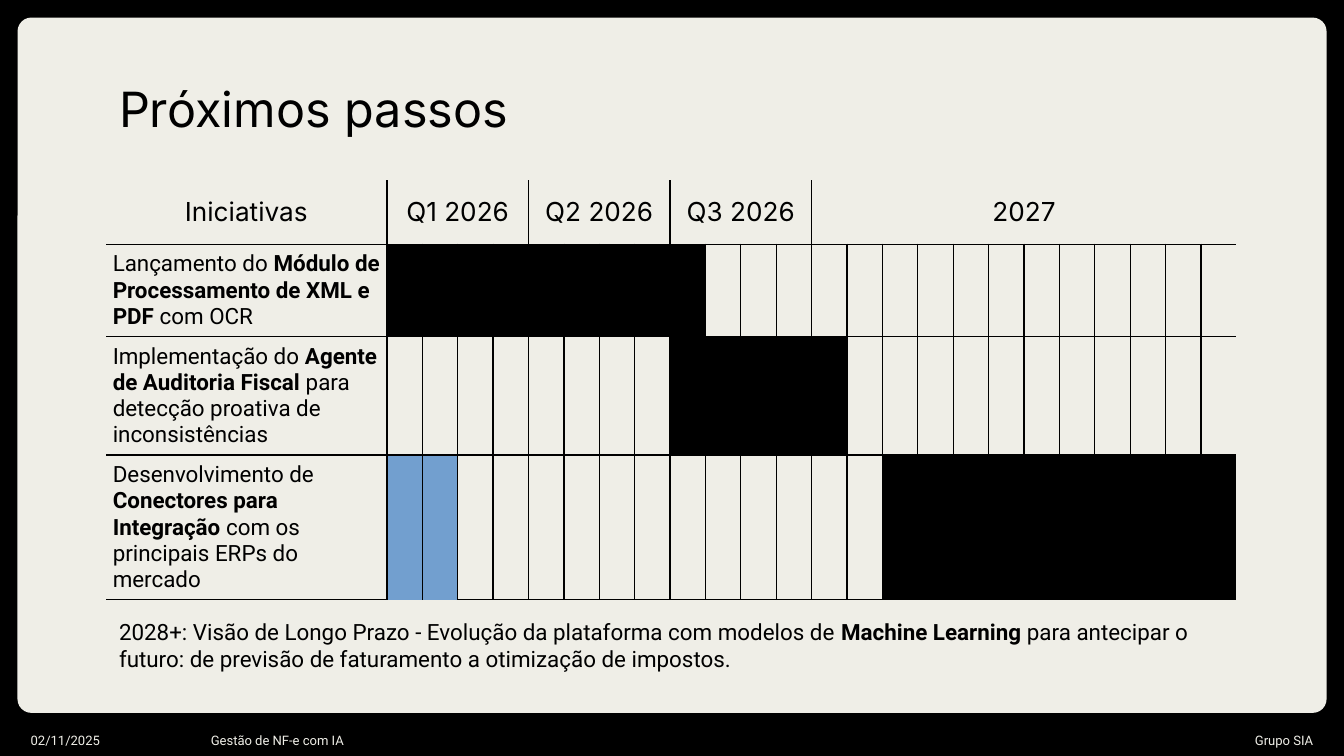
from dataclasses import dataclass
from itertools import product

from lxml.etree import SubElement
from pptx import Presentation
from pptx.dml.color import RGBColor
from pptx.enum.shapes import MSO_SHAPE
from pptx.enum.text import MSO_ANCHOR, PP_ALIGN
from pptx.oxml.ns import qn
from pptx.util import Pt

HUES = {"ink": "000000", "paper": "EFEEE7", "blue": "729FCF"}
COLS, FIRST, UNIT = 26, 2, 18.97
LABEL = 75.25
ROWS = [34.35, 49.4, 63.5, 77.4]


@dataclass
class Style:
    size: float
    font: str = "Roboto"
    hue: str = "ink"


@dataclass
class Note:
    box: tuple[float, float, float, float]
    words: list[str]
    style: Style
    align: PP_ALIGN = PP_ALIGN.LEFT
    anchor: MSO_ANCHOR = MSO_ANCHOR.TOP


@dataclass
class Task:
    words: list[str]
    start: int
    stop: int


@dataclass
class Head:
    text: str
    start: int
    span: int


HEAD = Style(14, "Inter")
BODY = Style(12)
FOOT = Style(7, hue="paper")
BASE = MSO_ANCHOR.BOTTOM

NOTES = [
    Note((56.7, 35.4, 607, 45), ["Próximos passos"], Style(26, "Inter")),
    Note((56.7, 324.2, 607, 32),
         ["2028+: Visão de Longo Prazo - Evolução da plataforma com modelos de ",
          "Machine Learning",
          " para antecipar o futuro: de previsão de faturamento a otimização de impostos."],
         BODY),
    Note((9.4, 382.2, 96.5, 23), ["02/11/2025"], FOOT, anchor=BASE),
    Note((105.9, 382.2, 96.5, 23), ["Gestão de NF-e com IA"], FOOT, anchor=BASE),
    Note((614.1, 382.2, 96.5, 23), ["Grupo SIA"], FOOT, PP_ALIGN.RIGHT, BASE),
]

HEADS = [
    Head("Iniciativas", 0, 2),
    Head("Q1 2026", 2, 4),
    Head("Q2 2026", 6, 4),
    Head("Q3 2026", 10, 4),
    Head("2027", 14, 12),
]

TASKS = [
    Task(["Lançamento do ", "Módulo de Processamento de XML e PDF ", "com OCR"], 2, 11),
    Task(["Implementação do ", "Agente de Auditoria Fiscal",
          " para detecção proativa de inconsistências"], 10, 15),
    Task(["Desenvolvimento de ", "Conectores para Integração",
          " com os principais ERPs do mercado"], 15, COLS),
]
BLUE = (3, FIRST)


def apply(item, form: dict) -> None:
    for key, value in form.items():
        setattr(item, key, value)


def pads(side: float, edge: float) -> dict:
    return {"margin_left": Pt(side), "margin_right": Pt(side),
            "margin_top": Pt(edge), "margin_bottom": Pt(edge)}


def paint(fill, hue: str) -> None:
    fill.solid()
    fill.fore_color.rgb = RGBColor.from_string(HUES[hue])


def write(frame, words: list[str], style: Style, align: PP_ALIGN) -> None:
    para = frame.paragraphs[0]
    para.alignment = align
    for spot, text in enumerate(words):
        run = para.add_run()
        run.text = text
        apply(run.font, {"size": Pt(style.size), "name": style.font, "bold": spot % 2 == 1})
        run.font.color.rgb = RGBColor.from_string(HUES[style.hue])


def draw_note(slide, note: Note) -> None:
    frame = slide.shapes.add_textbox(*map(Pt, note.box)).text_frame
    apply(frame, {"word_wrap": True, "vertical_anchor": note.anchor, **pads(7.2, 7.2)})
    write(frame, note.words, note.style, note.align)


def rule(cell, sides: dict[str, bool]) -> None:
    props = cell._tc.get_or_add_tcPr()
    for side, shown in sides.items():
        line = SubElement(props, qn(f"a:ln{side}"), w=str(Pt(0.75)))
        if shown:
            fill = SubElement(line, qn("a:solidFill"))
            SubElement(fill, qn("a:srgbClr"), val=HUES["ink"])
        else:
            SubElement(line, qn("a:noFill"))


def draw_cell(table, row: int, col: int) -> None:
    cell = table.cell(row, col)
    last = col + (cell.span_width if cell.is_merge_origin else 1)
    rule(cell, {"L": col > 0, "R": last < COLS, "T": row > 0, "B": (row, col) != BLUE})
    apply(cell, pads(0, 0))
    if (row, col) == BLUE:
        paint(cell.fill, "blue")
    elif row and TASKS[row - 1].start <= col < TASKS[row - 1].stop:
        paint(cell.fill, "ink")
    else:
        cell.fill.background()


def fill_cell(cell, words: list[str], style: Style, align: PP_ALIGN, pad: float) -> None:
    apply(cell, {"vertical_anchor": MSO_ANCHOR.MIDDLE, **pads(pad, pad)})
    write(cell.text_frame, words, style, align)


def draw_plan(slide) -> None:
    wide = FIRST * LABEL + (COLS - FIRST) * UNIT
    box = map(Pt, (56.8, 96.5, wide, sum(ROWS)))
    table = slide.shapes.add_table(len(ROWS), COLS, *box).table
    apply(table, {"first_row": False, "horz_banding": False})
    for spot, col in enumerate(table.columns):
        col.width = Pt(LABEL if spot < FIRST else UNIT)
    for row, high in zip(table.rows, ROWS):
        row.height = Pt(high)
    for head in HEADS:
        table.cell(0, head.start).merge(table.cell(0, head.start + head.span - 1))
    for row in range(1, len(ROWS)):
        table.cell(row, 0).merge(table.cell(row, FIRST - 1))
    for row, col in product(range(len(ROWS)), range(COLS)):
        draw_cell(table, row, col)
    for head in HEADS:
        fill_cell(table.cell(0, head.start), [head.text], HEAD, PP_ALIGN.CENTER, 0)
    for row, task in enumerate(TASKS, 1):
        fill_cell(table.cell(row, 0), task.words, BODY, PP_ALIGN.LEFT, 3.6)


def main() -> None:
    deck = Presentation()
    apply(deck, {"slide_width": Pt(720), "slide_height": Pt(405)})
    slide = deck.slides.add_slide(deck.slide_layouts[6])
    paint(slide.background.fill, "ink")
    panel = slide.shapes.add_shape(MSO_SHAPE.ROUNDED_RECTANGLE, *map(Pt, (9.4, 9.4, 701.3, 372.5)))
    panel.adjustments[0] = 0.02
    panel.shadow.inherit = False
    paint(panel.fill, "paper")
    panel.line.fill.background()
    draw_plan(slide)
    for note in NOTES:
        draw_note(slide, note)
    deck.save("out.pptx")


if __name__ == "__main__":
    main()
